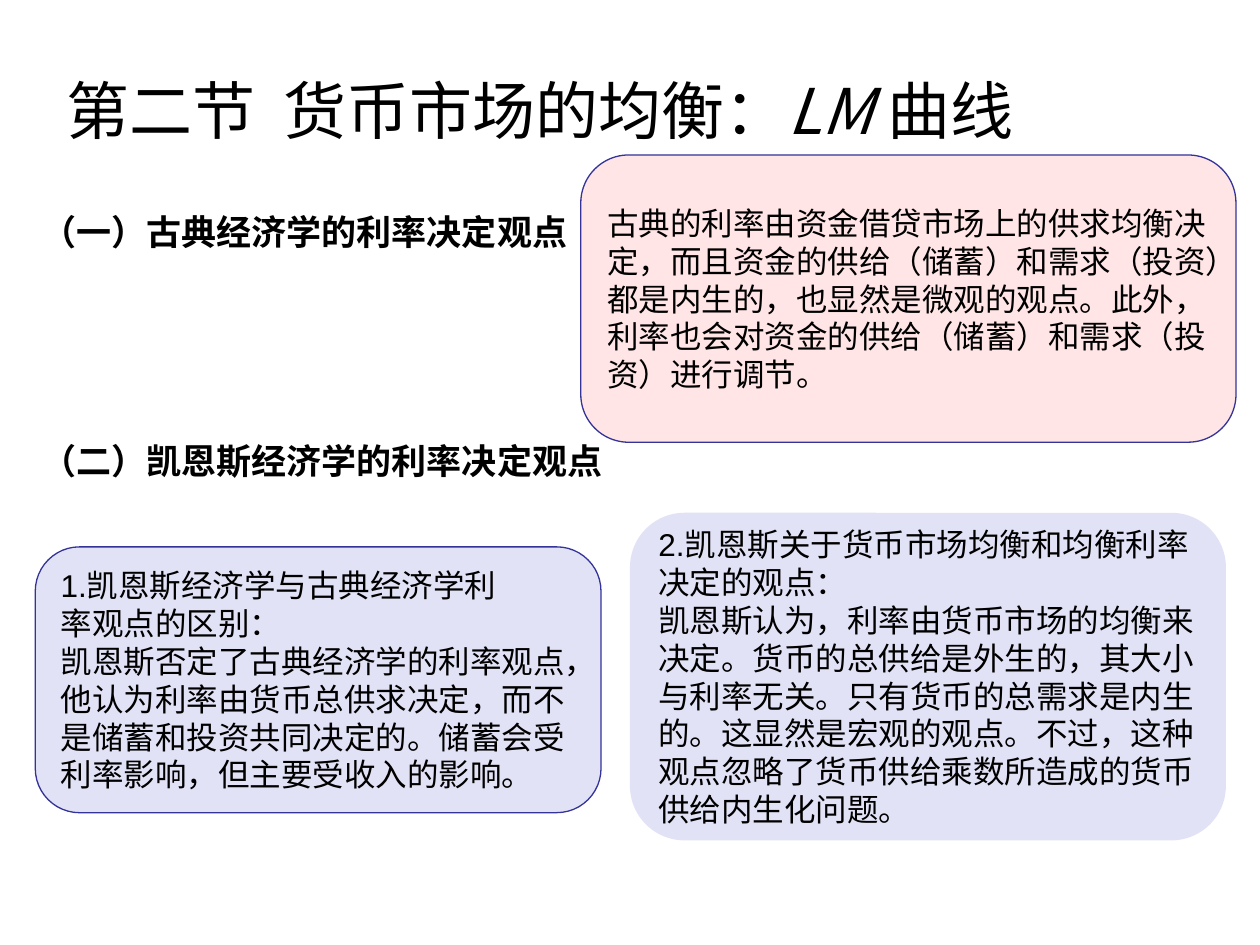
from dataclasses import dataclass

from pptx import Presentation
from pptx.dml.color import RGBColor
from pptx.enum.lang import MSO_LANGUAGE_ID
from pptx.enum.shapes import MSO_SHAPE
from pptx.enum.text import MSO_ANCHOR, PP_ALIGN
from pptx.util import Inches, Pt


@dataclass(frozen=True)
class Theme:
    """Colours, fonts and type sizes of the deck."""
    ink: str = "000000"
    outline: str = "333399"
    classical: str = "FFE5E5"
    keynesian: str = "E2E2F6"
    body_font: str = "Arial"
    chinese_font: str = "Noto Sans CJK SC"
    title_size: int = 36
    heading_size: int = 20
    body_size: int = 18


def add_text(paragraph, text, *, size, color, font, bold=False, italic=False):
    """Append one formatted run to a paragraph."""
    run = paragraph.add_run()
    run.text = text
    run.font.name = font
    run.font.size = Pt(size)
    run.font.bold = bold
    run.font.italic = italic
    run.font.color.rgb = RGBColor.from_string(color)
    run.font.language_id = MSO_LANGUAGE_ID.SIMPLIFIED_CHINESE


class SlideBuilder:
    """Holds the theme and the current slide."""

    def __init__(self, slide, theme):
        self.slide = slide
        self.theme = theme

    def text_box(self, left, top, width, height):
        """Add a wrapping, vertically centred text box and return its first paragraph."""
        shape = self.slide.shapes.add_textbox(
            Inches(left), Inches(top), Inches(width), Inches(height))
        shape.text_frame.word_wrap = True
        shape.text_frame.vertical_anchor = MSO_ANCHOR.MIDDLE
        return shape.text_frame.paragraphs[0]

    def title(self, parts):
        """Add the title from pairs of text and italic flag."""
        paragraph = self.text_box(0.43, -0.19, 9, 2.12)
        for text, italic in parts:
            add_text(paragraph, text, size=self.theme.title_size, color=self.theme.ink,
                     font=self.theme.chinese_font, italic=italic)

    def heading(self, text, top, font):
        """Add a bold section heading."""
        paragraph = self.text_box(0.23, top, 5, 0.43)
        add_text(paragraph, text, size=self.theme.heading_size,
                 color=self.theme.ink, font=font, bold=True)

    def card(self, lines, left, top, width, height, *, fill, outlined=True, wrap=False):
        """Add a rounded card with one paragraph per line."""
        shape = self.slide.shapes.add_shape(
            MSO_SHAPE.ROUNDED_RECTANGLE,
            Inches(left), Inches(top), Inches(width), Inches(height))
        shape.shadow.inherit = False
        shape.fill.solid()
        shape.fill.fore_color.rgb = RGBColor.from_string(fill)
        if outlined:
            shape.line.color.rgb = RGBColor.from_string(self.theme.outline)
            shape.line.width = Pt(0.75)
        else:
            shape.line.fill.background()
        frame = shape.text_frame
        frame.word_wrap = wrap
        frame.vertical_anchor = MSO_ANCHOR.MIDDLE
        for index, line in enumerate(lines):
            paragraph = frame.add_paragraph() if index else frame.paragraphs[0]
            paragraph.alignment = PP_ALIGN.LEFT
            add_text(paragraph, line, size=self.theme.body_size,
                     color=self.theme.ink, font=self.theme.body_font)


def main():
    """Build and save the slide."""
    presentation = Presentation()
    presentation.slide_width = Inches(10)
    presentation.slide_height = Inches(7.5)
    theme = Theme()
    builder = SlideBuilder(
        presentation.slides.add_slide(presentation.slide_layouts[6]), theme)

    builder.heading("（一）古典经济学的利率决定观点", 1.62, theme.body_font)
    builder.heading("（二）凯恩斯经济学的利率决定观点", 3.44, theme.chinese_font)
    builder.title([("第二节  货币市场的均衡：", False), ("LM ", True), ("曲线", False)])

    builder.card([
        "古典的利率由资金借贷市场上的供求均衡决",
        "定，而且资金的供给（储蓄）和需求（投资）",
        "都是内生的，也显然是微观的观点。此外，",
        "利率也会对资金的供给（储蓄）和需求（投",
        "资）进行调节。",
    ], 4.61, 1.23, 5.2, 2.28, fill=theme.classical)

    builder.card([
        "1.凯恩斯经济学与古典经济学利",
        "率观点的区别：",
        "凯恩斯否定了古典经济学的利率观点，他认为利率由货币总供求决定，"
        "而不是储蓄和投资共同决定的。储蓄会受利率影响，但主要受收入的影响。",
    ], 0.28, 4.34, 4.49, 2.11, fill=theme.keynesian, wrap=True)

    builder.card([
        "2.凯恩斯关于货币市场均衡和均衡利率",
        "决定的观点：",
        "凯恩斯认为，利率由货币市场的均衡来",
        "决定。货币的总供给是外生的，其大小",
        "与利率无关。只有货币的总需求是内生",
        "的。这显然是宏观的观点。不过，这种",
        "观点忽略了货币供给乘数所造成的货币",
        "供给内生化问题。",
    ], 5, 4.07, 4.73, 2.6, fill=theme.keynesian, outlined=False)

    presentation.save("out.pptx")


if __name__ == "__main__":
    main()
